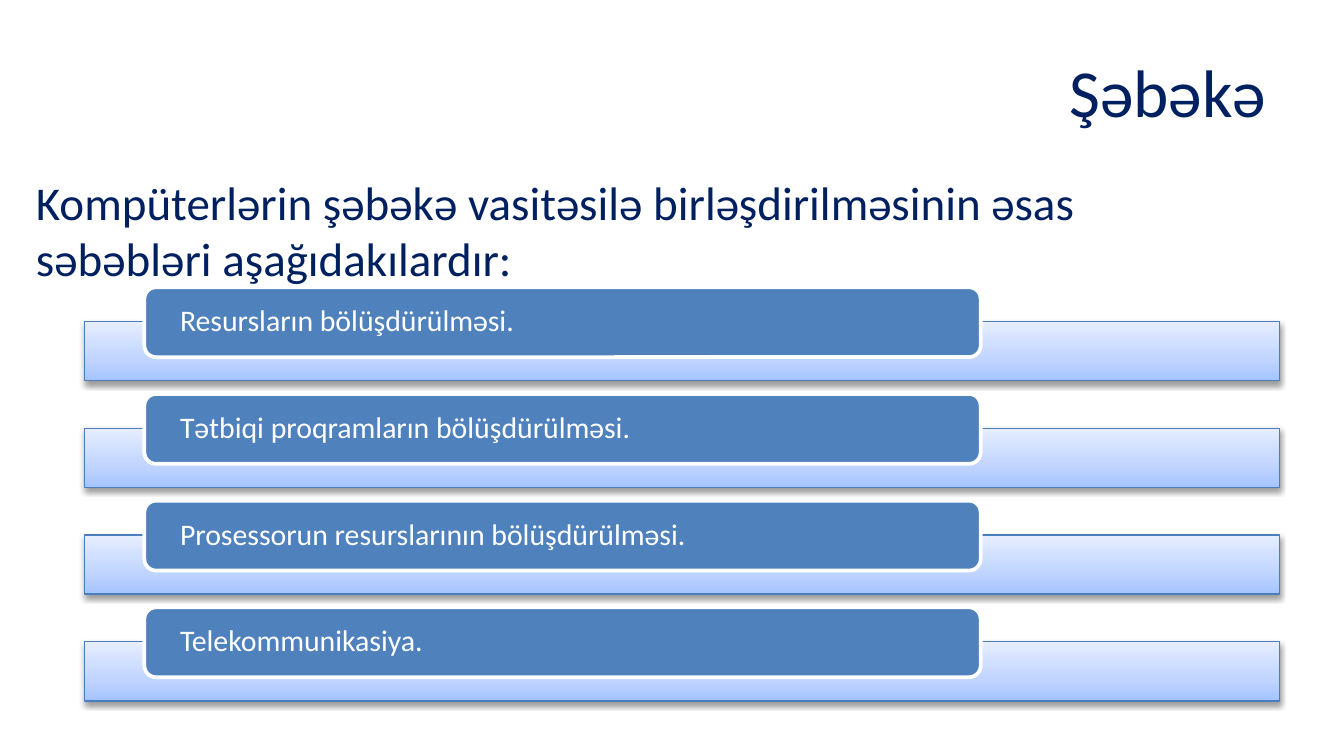
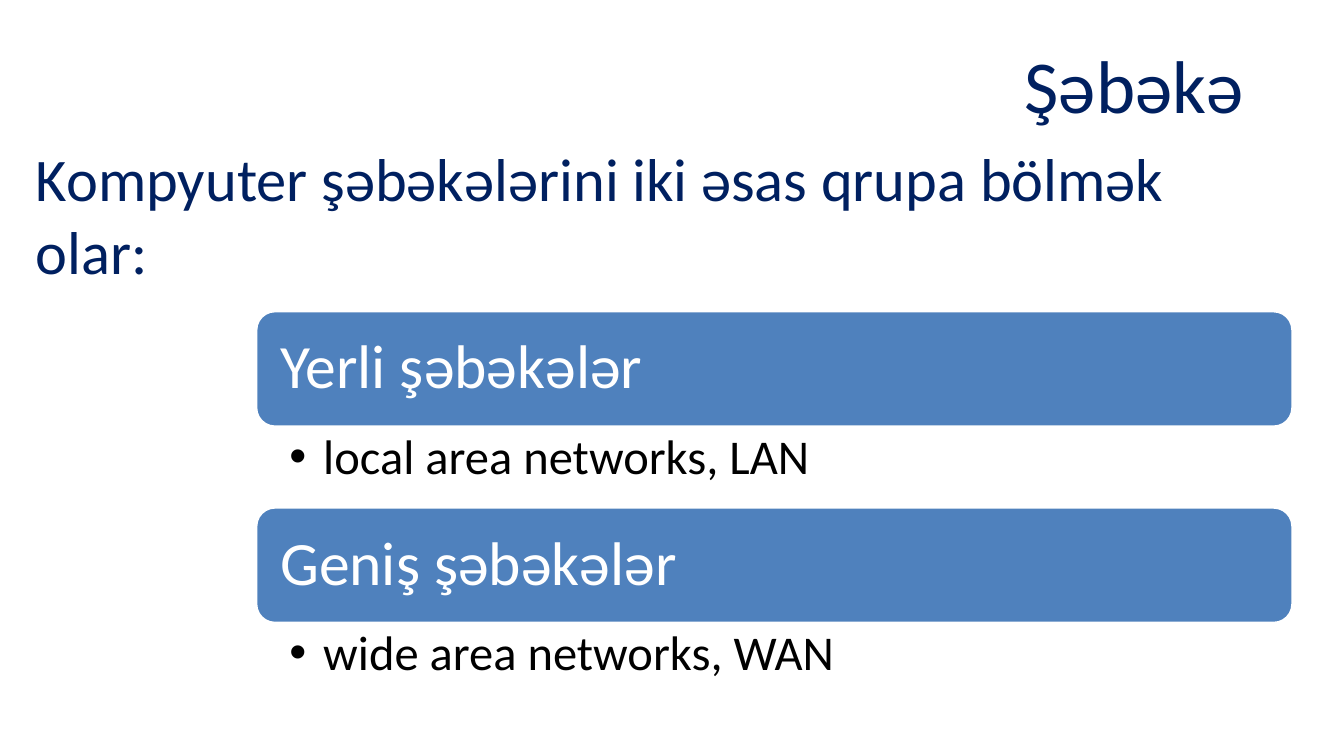
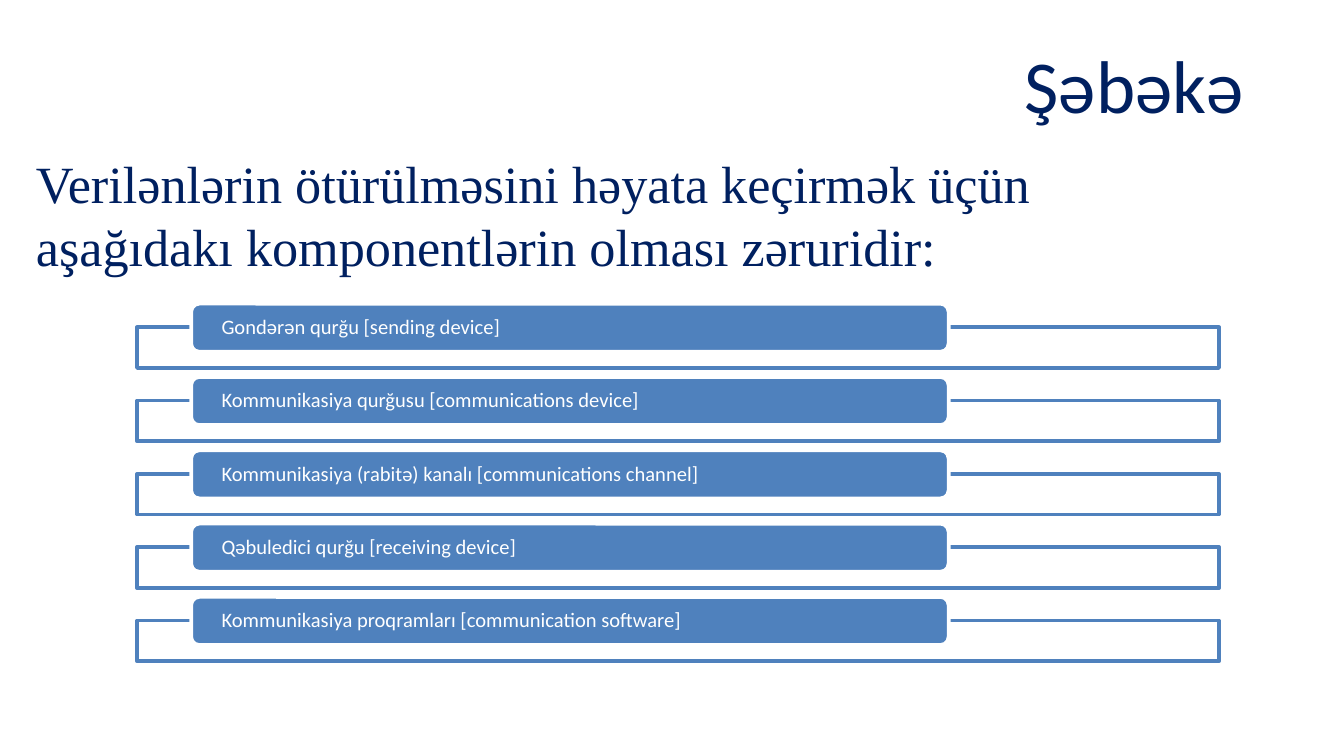
from lxml.etree import SubElement
from pptx import Presentation
from pptx.dml.color import RGBColor
from pptx.enum.shapes import MSO_SHAPE
from pptx.enum.text import MSO_ANCHOR, MSO_AUTO_SIZE, PP_ALIGN
from pptx.oxml import parse_xml
from pptx.oxml.ns import nsdecls, qn
from pptx.util import Cm, Pt

# Shared colours and fonts
NAVY = RGBColor(0x00, 0x20, 0x60)
BLUE = RGBColor(0x4F, 0x81, 0xBD)
EDGE = RGBColor(0x4B, 0x7E, 0xBC)
WHITE = RGBColor(0xFF, 0xFF, 0xFF)
BLACK = RGBColor(0x00, 0x00, 0x00)
BAR_STOPS = ((0, RGBColor(0xA4, 0xC4, 0xFF)),
             (35, RGBColor(0xBF, 0xD4, 0xFF)),
             (100, RGBColor(0xE6, 0xEE, 0xFF)))
SANS = "Calibri"
SERIF = "Times New Roman"

# Shared boxes in centimetres: left, top, width, height
TOPIC_BOX = (0.81, 0.51, 22.94, 2.13)
LEAD_BOX = (0.43, 3.28, 22.94, 1.52)


def write(sp, text, size=16, color=WHITE, font=SANS, align=PP_ALIGN.LEFT,
          anchor=MSO_ANCHOR.MIDDLE, insets=(0.25, 0.13), spacing=None,
          bullet=None):
    """Fill a shape with one formatted paragraph."""
    tf = sp.text_frame
    tf.word_wrap = True
    tf.auto_size = MSO_AUTO_SIZE.NONE
    tf.vertical_anchor = anchor
    tf.margin_left = tf.margin_right = Cm(insets[0])
    tf.margin_top = tf.margin_bottom = Cm(insets[1])
    p = tf.paragraphs[0]
    p.alignment = align
    if spacing:
        p.line_spacing = spacing
    if bullet:
        pPr = p._p.get_or_add_pPr()
        pPr.set("marL", str(Cm(0.64)))
        pPr.set("indent", str(-Cm(0.64)))
        SubElement(pPr, qn("a:buFont"), typeface="Arial")
        SubElement(pPr, qn("a:buChar"), char=bullet)
    r = p.add_run()
    r.text = text
    r.font.name, r.font.size, r.font.color.rgb = font, Pt(size), color


def add_box(s, kind, box, fill, line, width):
    sp = s.shapes.add_shape(kind, *map(Cm, box))
    sp.shadow.inherit = False
    sp.fill.solid()
    sp.fill.fore_color.rgb = fill
    sp.line.color.rgb = line
    sp.line.width = Pt(width)
    return sp


def add_text(s, box, text, **fmt):
    write(s.shapes.add_textbox(*map(Cm, box)), text, **fmt)


def add_title(s, box, text, **fmt):
    sp = s.shapes.title
    sp.left, sp.top, sp.width, sp.height = map(Cm, box)
    write(sp, text, color=NAVY, **fmt)


# Bar styles
def add_glossy_bar(s, box):
    sp = add_box(s, MSO_SHAPE.RECTANGLE, box, WHITE, EDGE, 0.75)
    spPr = sp._element.spPr
    stops = "".join(f'<a:gs pos="{pos * 1000}"><a:srgbClr val="{c}"/></a:gs>'
                    for pos, c in BAR_STOPS)
    spPr.replace(spPr.find(qn("a:solidFill")), parse_xml(
        f'<a:gradFill {nsdecls("a")}><a:gsLst>{stops}</a:gsLst>'
        '<a:lin ang="16200000" scaled="0"/></a:gradFill>'))
    spPr.find(qn("a:effectLst")).append(parse_xml(
        f'<a:outerShdw {nsdecls("a")} blurRad="{Pt(3.1)}" dist="{Pt(1.6)}" '
        'dir="5400000" rotWithShape="0"><a:srgbClr val="000000">'
        '<a:alpha val="38000"/></a:srgbClr></a:outerShdw>'))


def add_outline_bar(s, box):
    sp = add_box(s, MSO_SHAPE.RECTANGLE, box, WHITE, BLUE, 2)
    color = sp._element.spPr.find(qn("a:solidFill"))[0]
    SubElement(color, qn("a:alpha"), val="90000")


# Regions
def add_tab_list(s, box, items, add_bar, bar_h, size, inset):
    """Stack bars, each with a label tab over its top edge."""
    x, y, w, h = box
    tab_h = 1.18 * bar_h
    bar_dy = 0.58 * bar_h
    pitch = (h - bar_dy - bar_h) / (len(items) - 1)
    for i, item in enumerate(items):
        top = y + i * pitch
        add_bar(s, (x, top + bar_dy, w, bar_h))
        tab = add_box(s, MSO_SHAPE.ROUNDED_RECTANGLE,
                      (x + 0.05 * w, top, 0.7 * w, tab_h), BLUE, WHITE, 2)
        write(tab, item, size=size, insets=(inset, 0), spacing=0.9)


def add_group_list(s, box, groups):
    """Stack headings, each followed by a bulleted detail."""
    x, y, w, h = box
    pitch = h / len(groups)
    head_h = 0.595 * pitch
    for i, (head, detail) in enumerate(groups):
        top = y + i * pitch
        sp = add_box(s, MSO_SHAPE.ROUNDED_RECTANGLE, (x, top, w, head_h),
                     BLUE, WHITE, 2)
        write(sp, head, size=33, insets=(0.36, 0.36), spacing=0.9)
        add_text(s, (x, top + head_h - 0.03, w, pitch - head_h), detail,
                 size=26, color=BLACK, anchor=MSO_ANCHOR.TOP,
                 insets=(0.64, 0.13), spacing=0.9, bullet="•")


def add_lead_slide(prs, lead, **fmt):
    """Start a slide whose title is the lead sentence under the topic."""
    s = prs.slides.add_slide(prs.slide_layouts[5])
    add_title(s, LEAD_BOX, lead, **fmt)
    add_text(s, TOPIC_BOX, "Şəbəkə", size=40, color=NAVY,
             align=PP_ALIGN.RIGHT)
    return s


# Slides
def build_reasons(prs):
    s = prs.slides.add_slide(prs.slide_layouts[5])
    add_title(s, (1.24, 0.64, 22.94, 2.13), "Şəbəkə", size=36,
              align=PP_ALIGN.RIGHT)
    add_tab_list(s, (1.6, 5.43, 22.58, 7.82), (
        "Resursların bölüşdürülməsi.",
        "Tətbiqi proqramların bölüşdürülməsi.",
        "Prosessorun resurslarının bölüşdürülməsi.",
        "Telekommunikasiya.",
    ), add_glossy_bar, bar_h=1.12, size=16, inset=0.61)
    add_text(s, (0.43, 3.28, 22.94, 2.13),
             "Kompüterlərin şəbəkə vasitəsilə birləşdirilməsinin əsas "
             "səbəbləri aşağıdakılardır:", size=25.2, color=NAVY)


def build_groups(prs):
    s = add_lead_slide(
        prs, "Kompyuter şəbəkələrini iki əsas qrupa bölmək olar:", size=32.4)
    add_group_list(s, (4.83, 5.87, 19.61, 7.42), (
        ("Yerli şəbəkələr", "local area networks, LAN"),
        ("Geniş şəbəkələr", "wide area networks, WAN"),
    ))


def build_components(prs):
    s = add_lead_slide(
        prs, "Verilənlərin ötürülməsini həyata keçirmək üçün aşağıdakı "
        "komponentlərin olması zəruridir:", size=28, font=SERIF)
    add_tab_list(s, (2.59, 5.74, 20.45, 6.76), (
        "Gondərən qurğu [sending device]",
        "Kommunikasiya qurğusu [communications device]",
        "Kommunikasiya (rabitə) kanalı [communications channel]",
        "Qəbuledici qurğu [receiving device]",
        "Kommunikasiya proqramları [communication software]",
    ), add_outline_bar, bar_h=0.77, size=11, inset=0.53)


def main():
    prs = Presentation()
    prs.slide_width, prs.slide_height = Cm(25.4), Cm(14.29)
    build_reasons(prs)
    build_groups(prs)
    build_components(prs)
    prs.save("out.pptx")


if __name__ == "__main__":
    main()
